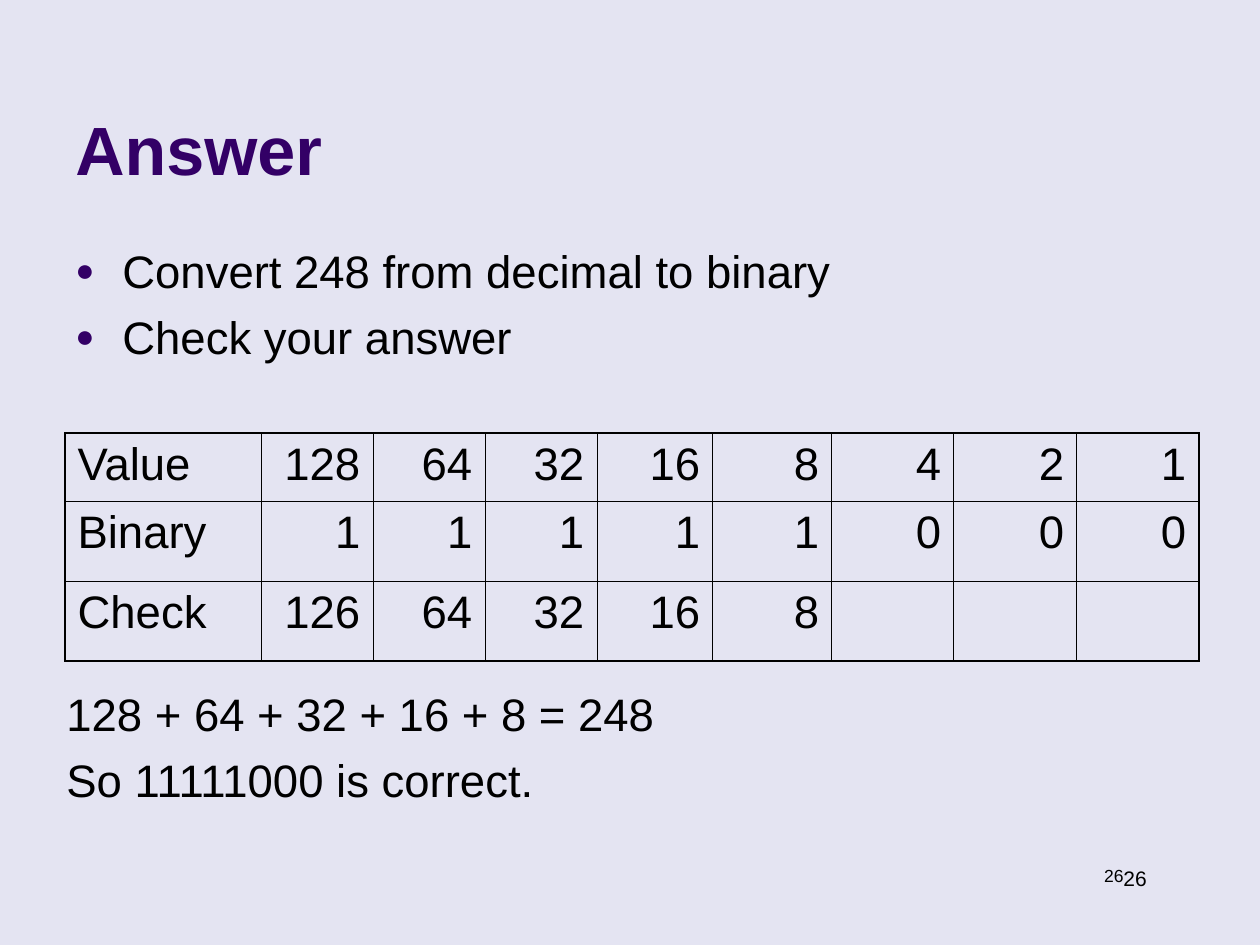
"""Build the slide that answers a decimal to binary exercise."""
import pptx
import pptx.dml.color
import pptx.enum.text
import pptx.oxml.ns
import pptx.util
from lxml import etree

RGBColor = pptx.dml.color.RGBColor
ALIGN = pptx.enum.text.PP_ALIGN
ANCHOR = pptx.enum.text.MSO_ANCHOR

BACKGROUND = RGBColor(0xE4, 0xE4, 0xF2)
PURPLE = RGBColor(0x33, 0x00, 0x66)
BLACK = RGBColor(0, 0, 0)
FONT = "Arial"
BODY_SIZE = 26
SPACE_BEFORE = 6.5
HANGING = 47
THIN, THICK = 0.45, 1.08

TITLE = ["Answer"]
TASKS = ["Convert 248 from decimal to binary", "Check your answer"]
CONCLUSION = ["128 + 64 + 32 + 16 + 8 = 248", "So 11111000 is correct."]
PAGE = ["26"]
ROWS = [
    ("Value", "128", "64", "32", "16", "8", "4", "2", "1"),
    ("Binary", "1", "1", "1", "1", "1", "0", "0", "0"),
    ("Check", "126", "64", "32", "16", "8", "", "", ""),
]
COLUMN_WIDTHS = [196, 112, 112, 112, 116, 119, 122, 123, 122]
ROW_HEIGHTS = [68, 80, 80]
TABLE_LEFT, TABLE_TOP = 65, 433


def px(n):
    return round(n * 914400 / 126)


def add_xml(parent, tag, **attributes):
    return etree.SubElement(parent, pptx.oxml.ns.qn(tag), attributes)


def style(p, size, color=BLACK, bold=False, align=ALIGN.LEFT):
    p.alignment = align
    p.font.name = FONT
    p.font.size = pptx.util.Pt(size)
    p.font.bold = bold
    p.font.color.rgb = color


def add_bullet(p):
    pPr = p._p.get_or_add_pPr()
    pPr.set("marL", str(px(HANGING)))
    pPr.set("indent", str(-px(HANGING)))
    add_xml(add_xml(pPr, "a:buClr"), "a:srgbClr", val=str(PURPLE))
    add_xml(pPr, "a:buSzPct", val="70000")
    add_xml(pPr, "a:buFont", typeface=FONT)
    add_xml(pPr, "a:buChar", char="●")


def add_text(s, lines, box, size, bullets=False, anchor=ANCHOR.TOP, wrap=True, **look):
    tf = s.shapes.add_textbox(*map(px, box)).text_frame
    tf.word_wrap = wrap
    tf.vertical_anchor = anchor
    for i, line in enumerate(lines):
        p = tf.add_paragraph() if i else tf.paragraphs[0]
        p.text = line
        if i:
            p.space_before = pptx.util.Pt(SPACE_BEFORE)
        if bullets:
            add_bullet(p)
        style(p, size, **look)


def add_borders(cell, edges):
    tcPr = cell._tc.get_or_add_tcPr()
    for i, (side, outer) in enumerate(edges.items()):
        width = pptx.util.Pt(THICK if outer else THIN)
        ln = etree.Element(pptx.oxml.ns.qn("a:ln" + side), w=str(width))
        add_xml(add_xml(ln, "a:solidFill"), "a:srgbClr", val=str(BLACK))
        tcPr.insert(i, ln)


def add_value_table(s):
    box = TABLE_LEFT, TABLE_TOP, sum(COLUMN_WIDTHS), sum(ROW_HEIGHTS)
    last_row, last_col = len(ROWS) - 1, len(COLUMN_WIDTHS) - 1
    table = s.shapes.add_table(last_row + 1, last_col + 1, *map(px, box)).table
    table.first_row = table.horz_banding = False
    for column, width in zip(table.columns, COLUMN_WIDTHS):
        column.width = px(width)
    for row, height in zip(table.rows, ROW_HEIGHTS):
        row.height = px(height)
    for r, values in enumerate(ROWS):
        for c, value in enumerate(values):
            cell = table.cell(r, c)
            cell.fill.background()
            p = cell.text_frame.paragraphs[0]
            p.text = value
            style(p, BODY_SIZE, align=ALIGN.RIGHT if c else ALIGN.LEFT)
            add_borders(cell, {"L": c == 0, "R": c == last_col,
                               "T": r == 0, "B": r == last_row})


def main():
    prs = pptx.Presentation()
    prs.slide_width, prs.slide_height = px(1260), px(945)
    s = prs.slides.add_slide(prs.slide_layouts[6])
    s.background.fill.solid()
    s.background.fill.fore_color.rgb = BACKGROUND
    add_text(s, PAGE, (878, 859, 258, 34), 10, align=ALIGN.RIGHT)
    add_text(s, PAGE, (1111, 859, 121, 38), 12, wrap=False)
    add_text(s, TITLE, (63, 16, 1040, 179), 39, color=PURPLE, bold=True,
             anchor=ANCHOR.BOTTOM)
    add_text(s, TASKS, (63, 237, 1134, 156), BODY_SIZE, bullets=True)
    add_value_table(s)
    add_text(s, CONCLUSION, (54, 680, 1134, 156), BODY_SIZE)
    prs.save("out.pptx")


if __name__ == "__main__":
    main()
